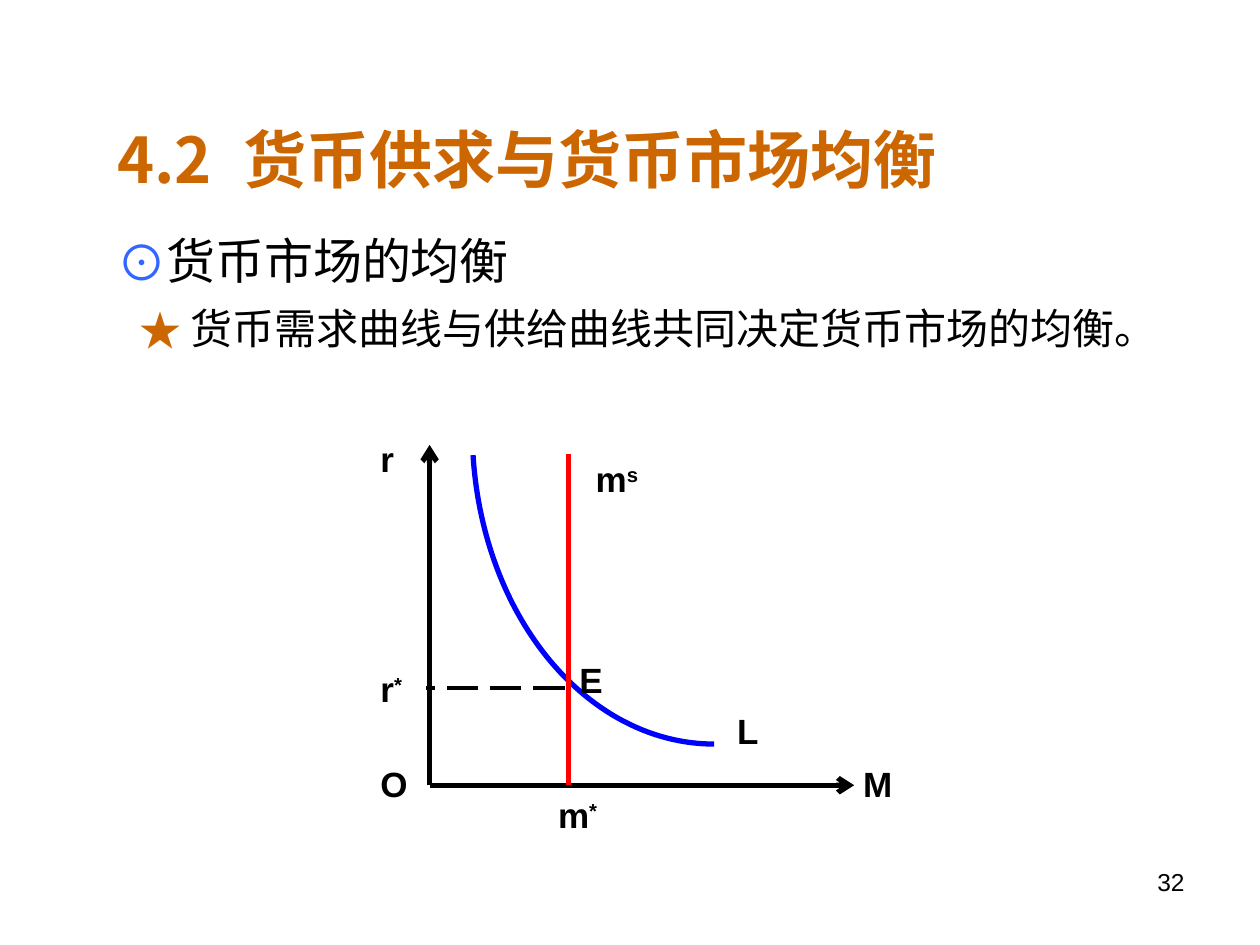
from lxml.etree import SubElement
from pptx import Presentation
from pptx.dml.color import RGBColor
from pptx.enum.dml import MSO_LINE
from pptx.enum.shapes import MSO_CONNECTOR, MSO_SHAPE
from pptx.enum.text import MSO_ANCHOR, MSO_AUTO_SIZE, PP_ALIGN
from pptx.oxml.ns import qn
from pptx.util import Cm, Pt

CJK_FONT = "Noto Sans CJK SC"
BLACK, ORANGE = "000000", "CC6600"


def color(hex_string):
    """Turn a hex string into a colour."""
    return RGBColor.from_string(hex_string)


def set_font(paragraph, size, name="Arial", hex_string=BLACK, bold=False):
    """Format a whole paragraph, with the Chinese font for its Chinese text."""
    font = paragraph.font
    font.size, font.name, font.bold = Pt(size), name, bold
    font.color.rgb = color(hex_string)
    defaults = paragraph._p.pPr.find(qn("a:defRPr"))
    SubElement(defaults, qn("a:ea"), typeface=CJK_FONT)


def place(shape, left, top, width, height):
    """Move and size a shape, in centimetres."""
    shape.left, shape.top = Cm(left), Cm(top)
    shape.width, shape.height = Cm(width), Cm(height)


def add_title(slide, left, top, width, height):
    """Fill the title, with a tab between number and heading."""
    title = slide.shapes.title
    place(title, left, top, width, height)
    frame = title.text_frame
    frame.text = "4.2\t货币供求与货币市场均衡"
    frame.vertical_anchor = MSO_ANCHOR.MIDDLE
    frame.auto_size = MSO_AUTO_SIZE.NONE
    paragraph = frame.paragraphs[0]
    paragraph.alignment = PP_ALIGN.LEFT
    tabs = SubElement(paragraph._p.get_or_add_pPr(), qn("a:tabLst"))
    SubElement(tabs, qn("a:tab"), pos=str(Cm(2.54)), algn="l")
    set_font(paragraph, 36, CJK_FONT, ORANGE, True)


def add_list(slide, left, top, width, height):
    """Fill the body with the bulleted points."""
    body = slide.placeholders[1]
    place(body, left, top, width, height)
    frame = body.text_frame
    frame.auto_size = MSO_AUTO_SIZE.NONE
    points = [
        ("⊙", "货币市场的均衡", 28, "3366FF", 0.99, 0.99, 0),
        ("★", "货币需求曲线与供给曲线共同决定货币市场的均衡。", 24, ORANGE, 1.48, 1.04, 10.5),
    ]
    frame.text = "\n".join(point[1] for point in points)
    for paragraph, point in zip(frame.paragraphs, points):
        bullet, _, size, bullet_color, margin, hanging, before = point
        paragraph.line_spacing = 0.9
        paragraph.space_before = Pt(before)
        properties = paragraph._p.get_or_add_pPr()
        properties.set("marL", str(Cm(margin)))
        properties.set("indent", str(-Cm(hanging)))
        SubElement(SubElement(properties, qn("a:buClr")), qn("a:srgbClr"), val=bullet_color)
        SubElement(properties, qn("a:buFont"), typeface=CJK_FONT)
        SubElement(properties, qn("a:buChar"), char=bullet)
        set_font(paragraph, size)


def add_line(shapes, start, end, hex_string=BLACK, width=3, dash=None, arrow=False):
    """Draw a straight line between two points in centimetres."""
    points = [Cm(value) for value in (*start, *end)]
    connector = shapes.add_connector(MSO_CONNECTOR.STRAIGHT, *points)
    line = connector.line
    line.color.rgb, line.width = color(hex_string), Pt(width)
    if dash:
        line.dash_style = dash
    properties = connector._element.spPr
    if arrow:
        SubElement(properties.find(qn("a:ln")), qn("a:tailEnd"), type="arrow")
    SubElement(properties, qn("a:effectLst"))


def add_label(shapes, text, superscript, left, top, width):
    """Add a bold label with an optional superscript."""
    box = shapes.add_textbox(Cm(left), Cm(top), Cm(width), Cm(1.12))
    paragraph = box.text_frame.paragraphs[0]
    paragraph.add_run().text = text
    if superscript:
        run = paragraph.add_run()
        run.text = superscript
        run.font._element.set("baseline", "30000")
    set_font(paragraph, 20, bold=True)


def add_curve(shapes, left, top, width, height):
    """Draw the demand curve as a turned arc of an ellipse."""
    curve = shapes.add_shape(MSO_SHAPE.ARC, Cm(left), Cm(top), Cm(width), Cm(height))
    degree = 0.6
    curve.adjustments[0], curve.adjustments[1] = 0, 84 * degree
    curve.rotation = 90
    curve.shadow.inherit = False
    curve.fill.background()
    curve.line.color.rgb, curve.line.width = color("0000FF"), Pt(3)


def add_market_graph(slide, left, top):
    """Draw the money market graph from its top left corner."""
    shapes = slide.shapes.add_group_shape().shapes
    axis_x, axis_y = left + 1.24, top + 7.14
    supply_x, rate_y = left + 4.04, top + 5.18
    origin = (axis_x, axis_y)
    add_line(shapes, origin, (axis_x, top + 0.28), arrow=True)
    add_line(shapes, origin, (left + 9.8, axis_y), arrow=True)
    add_curve(shapes, left + 0.64, top - 4.9, 12.67, 9.75)
    add_line(shapes, (supply_x, top + 0.46), (supply_x, axis_y), "FF0000")
    add_line(shapes, (supply_x - 0.08, rate_y), (axis_x - 0.07, rate_y),
             width=2.25, dash=MSO_LINE.LONG_DASH)
    labels = [
        ("O", "", 0, 6.55, 1.04),
        ("M", "", 9.73, 6.55, 1.04),
        ("L", "", 7.19, 5.49, 1.19),
        ("m", "s", 4.34, 0.41, 1.57),
        ("E", "", 4.01, 4.45, 0.89),
        ("r", "*", 0, 4.65, 1.32),
        ("m", "*", 3.58, 7.19, 2.11),
        ("r", "", 0, 0, 1.07),
    ]
    for text, superscript, x, y, width in labels:
        add_label(shapes, text, superscript, left + x, top + y, width)


def add_page_number(slide, left, top, width, height):
    """Add the page number, aligned right."""
    box = slide.shapes.add_textbox(Cm(left), Cm(top), Cm(width), Cm(height))
    box.text_frame.word_wrap = True
    paragraph = box.text_frame.paragraphs[0]
    paragraph.text = "32"
    paragraph.alignment = PP_ALIGN.RIGHT
    set_font(paragraph, 14)


def main():
    """Build and save the presentation."""
    presentation = Presentation()
    presentation.slide_width, presentation.slide_height = Cm(25.4), Cm(19.05)
    slide = presentation.slides.add_slide(presentation.slide_layouts[1])
    add_title(slide, 2.11, 2.34, 20.32, 1.7)
    add_list(slide, 2.11, 4.65, 21.79, 2.97)
    add_market_graph(slide, 7.42, 8.69)
    add_page_number(slide, 18.21, 17.35, 5.92, 1.32)
    presentation.save("out.pptx")


if __name__ == "__main__":
    main()
